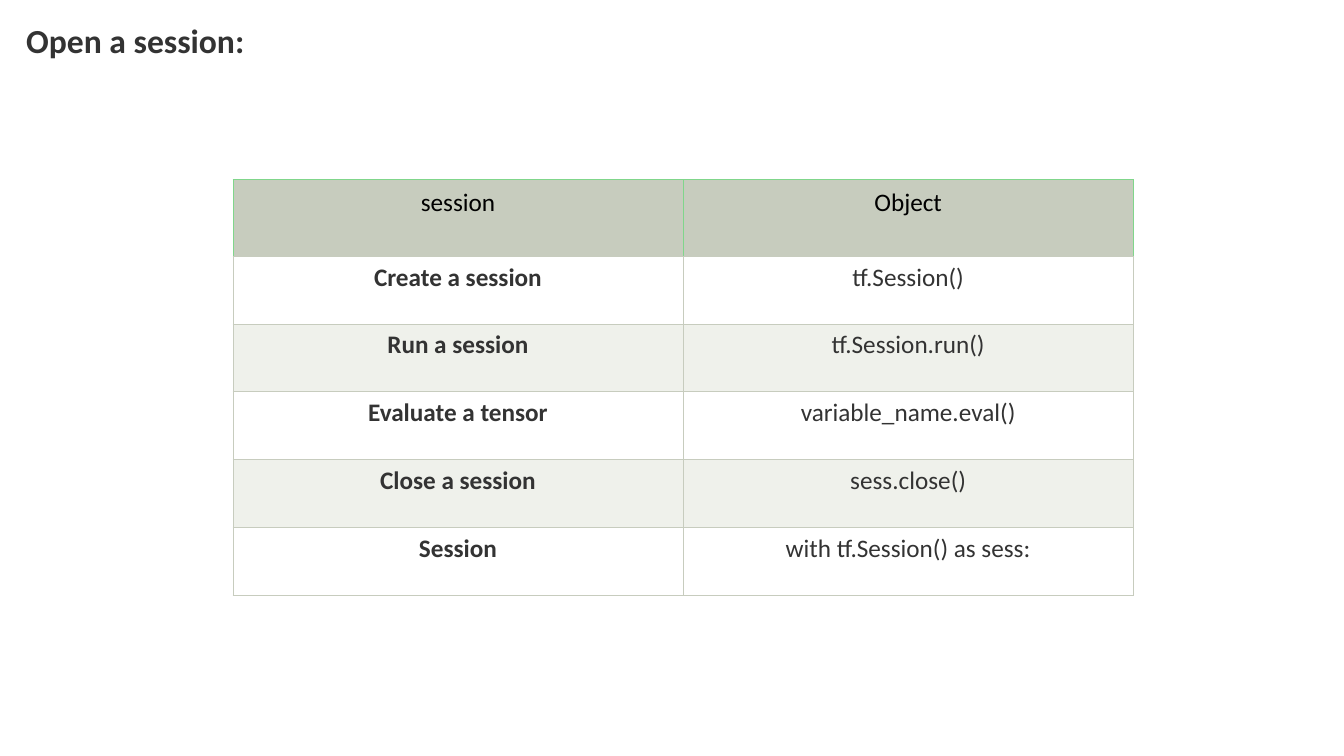
from dataclasses import dataclass
from typing import Any

from lxml import etree
from pptx import Presentation
from pptx import util as u
from pptx.dml.color import RGBColor
from pptx.enum import text
from pptx.oxml.ns import qn


@dataclass(frozen=True)
class Theme:
    font: str = "Calibri"
    ink: str = "333333"
    header_ink: str = "000000"
    header_fill: str = "C7CCBE"
    header_border: str = "80D68B"
    border: str = "C7CCBE"
    row_fills: tuple[str, str] = ("FFFFFF", "EFF1EB")
    title_size: float = 24
    table_size: float = 18
    border_width: float = 0.5


@dataclass(frozen=True)
class CellStyle:
    ink: str
    fill: str
    borders: dict[str, str]
    inset: float
    bold: bool = False


THEME = Theme()
TITLE = "Open a session:"
HEADINGS = ("session", "Object")
OPERATIONS = (
    ("Create a session", "tf.Session()"),
    ("Run a session", "tf.Session.run()"),
    ("Evaluate a tensor", "variable_name.eval()"),
    ("Close a session", "sess.close()"),
    ("Session", "with tf.Session() as sess:"),
)
LEFT, TOP, WIDTH, HEIGHT = 2.31, 1.78, 8.93, 4.13
HEADER_HEIGHT = 0.76


def apply(target: Any, values: dict[str, Any]) -> None:
    for name, value in values.items():
        setattr(target, name, value)


def format_font(font: Any, size: float, ink: str, bold: bool) -> None:
    apply(font, {"name": THEME.font, "size": u.Pt(size), "bold": bold})
    font.color.rgb = RGBColor.from_string(ink)


def add_borders(cell: Any, borders: dict[str, str]) -> None:
    properties = cell._tc.get_or_add_tcPr()
    for side, color in borders.items():
        line = etree.SubElement(properties, qn(f"a:ln{side}"), w=str(u.Pt(THEME.border_width)))
        fill = etree.SubElement(line, qn("a:solidFill"))
        etree.SubElement(fill, qn("a:srgbClr"), val=color)


def write_cell(cell: Any, words: str, style: CellStyle) -> None:
    add_borders(cell, style.borders)
    cell.fill.solid()
    cell.fill.fore_color.rgb = RGBColor.from_string(style.fill)
    inset = u.Inches(style.inset)
    apply(cell, {
        "text": words,
        "margin_left": inset,
        "margin_top": inset,
        "margin_right": inset,
        "margin_bottom": inset,
        "vertical_anchor": text.MSO_ANCHOR.TOP,
    })
    paragraph = cell.text_frame.paragraphs[0]
    paragraph.alignment = text.PP_ALIGN.CENTER
    format_font(paragraph.runs[0].font, THEME.table_size, style.ink, style.bold)


def write_title(title: Any) -> None:
    apply(title, {
        "left": u.Inches(0.16),
        "top": u.Inches(0.15),
        "width": u.Inches(13.01),
        "height": u.Inches(0.5),
    })
    frame = title.text_frame
    apply(frame, {
        "text": TITLE,
        "word_wrap": True,
        "auto_size": text.MSO_AUTO_SIZE.SHAPE_TO_FIT_TEXT,
        "vertical_anchor": text.MSO_ANCHOR.TOP,
    })
    heading = frame.paragraphs[0]
    heading.alignment = text.PP_ALIGN.LEFT
    format_font(heading.runs[0].font, THEME.title_size, THEME.ink, True)


def add_session_table(slide: Any) -> None:
    table = slide.shapes.add_table(
        len(OPERATIONS) + 1, len(HEADINGS),
        u.Inches(LEFT), u.Inches(TOP), u.Inches(WIDTH), u.Inches(HEIGHT),
    ).table
    table.rows[0].height = u.Inches(HEADER_HEIGHT)
    body_borders = dict.fromkeys("LRTB", THEME.border)
    header_borders = dict.fromkeys("LRT", THEME.header_border) | {"B": THEME.border}
    header_style = CellStyle(THEME.header_ink, THEME.header_fill, header_borders, 0.08)
    for column, heading in enumerate(HEADINGS):
        write_cell(table.cell(0, column), heading, header_style)
    for index, operation in enumerate(OPERATIONS):
        table.rows[index + 1].height = u.Inches((HEIGHT - HEADER_HEIGHT) / len(OPERATIONS))
        for column, words in enumerate(operation):
            style = CellStyle(THEME.ink, THEME.row_fills[index % 2], body_borders, 0.06, column == 0)
            write_cell(table.cell(index + 1, column), words, style)


def main() -> None:
    deck = Presentation()
    apply(deck, {"slide_width": u.Inches(13.33), "slide_height": u.Inches(7.5)})
    slide = deck.slides.add_slide(deck.slide_layouts[5])
    write_title(slide.shapes.title)
    add_session_table(slide)
    deck.save("out.pptx")


if __name__ == "__main__":
    main()
